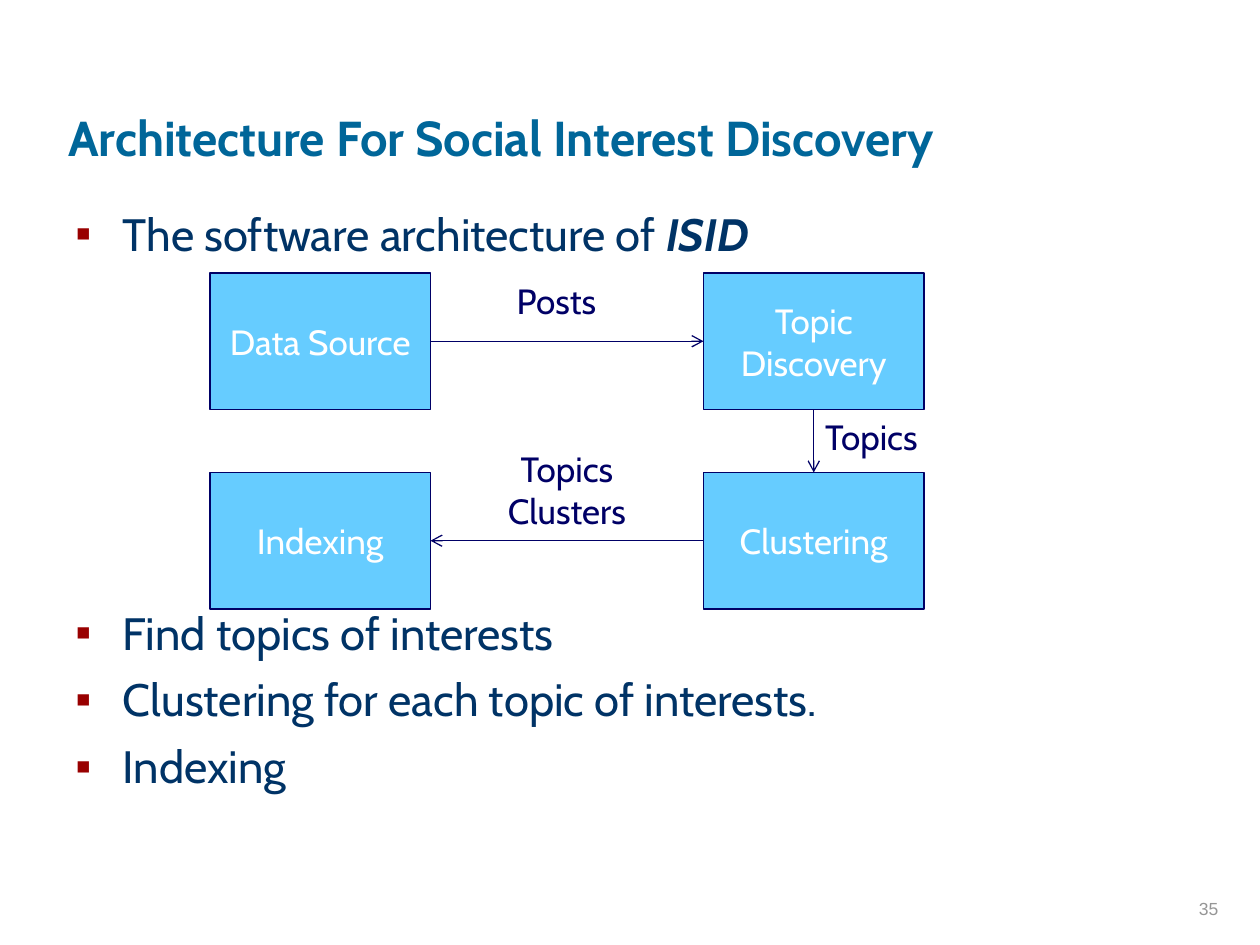
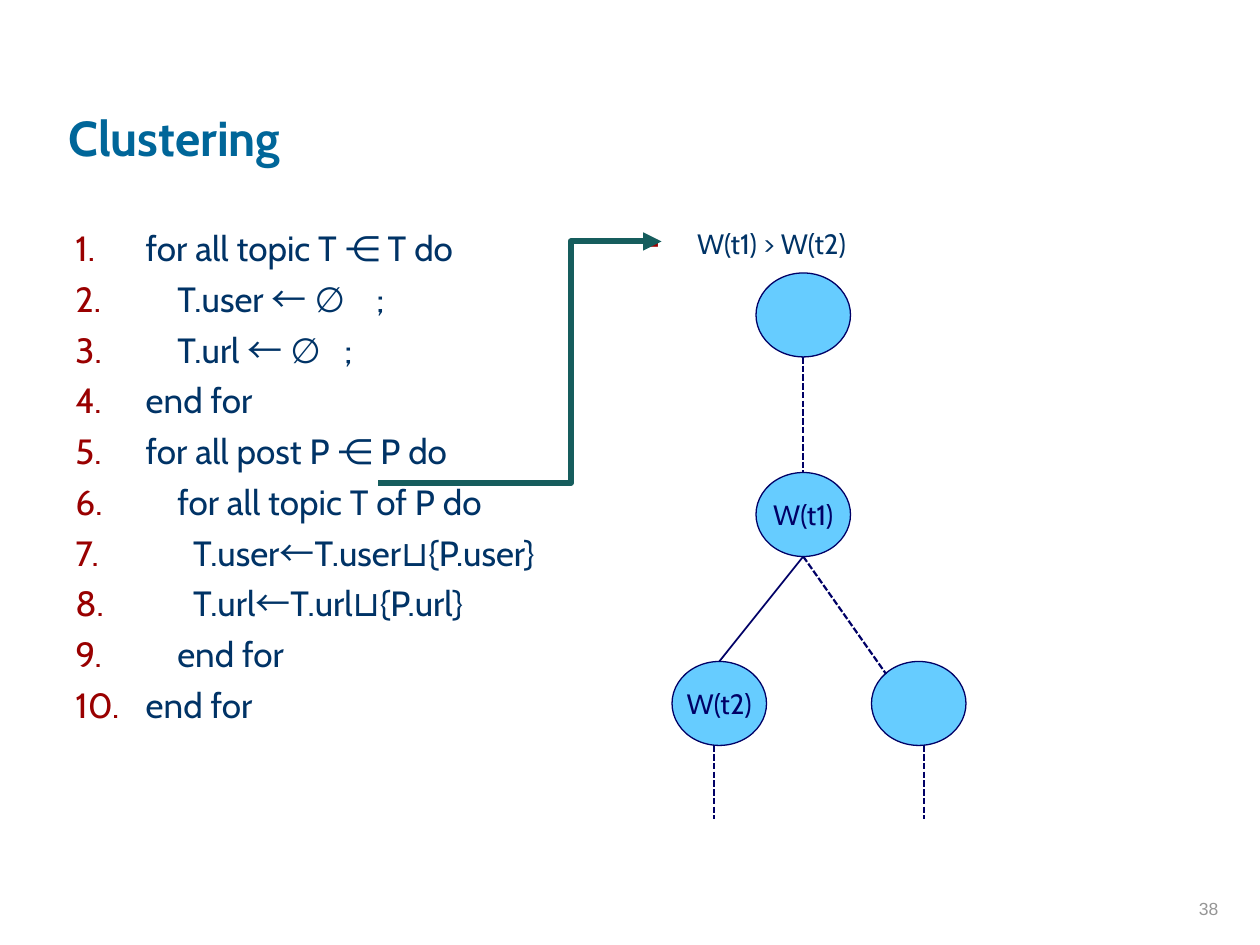
from dataclasses import dataclass

from pptx import Presentation, util as u
from pptx.dml.color import RGBColor
from pptx.enum import dml, shapes as sh, text as tx
from pptx.oxml.ns import qn
from lxml import etree

SCALE = 914400 // 120  # EMU per px


@dataclass(frozen=True)
class Theme:
    font: str = "Cabin"
    sign: str = "Noto Sans CJK KR"
    plain: str = "Arial"
    title: str = "006699"
    body: str = "003366"
    mark: str = "990000"
    ink: str = "000066"
    fill: str = "66CCFF"
    light: str = "FFFFFF"
    grey: str = "969696"
    arrow: str = "165D5D"
    head: float = 28
    large: float = 25.9
    mid: float = 20
    small: float = 16
    tiny: float = 10


def px(*vals):
    return [v * SCALE for v in vals]


def rgb(hue):
    return RGBColor.from_string(hue)


def sub(node, tag, **attrs):
    return etree.SubElement(node, qn(tag), attrs)


class Deck:
    def __init__(self, theme):
        self.t = theme
        self.prs = Presentation()
        self.prs.slide_width, self.prs.slide_height = px(1200, 900)
        self.slide = None

    def page(self, title, num):
        self.slide = self.prs.slides.add_slide(self.prs.slide_layouts[5])
        head = self.slide.shapes.title
        head.left, head.top, head.width, head.height = px(53, 14, 1080, 150)
        frame = head.text_frame
        frame.text = title
        frame.auto_size = tx.MSO_AUTO_SIZE.NONE
        frame.vertical_anchor = tx.MSO_ANCHOR.BOTTOM
        self.style(frame.paragraphs[0], self.t.head, self.t.title, bold=True)
        frame = self.label(num, (922, 821, 250, 60), self.t.tiny, self.t.grey,
                           tx.PP_ALIGN.RIGHT, self.t.plain)
        frame.vertical_anchor = tx.MSO_ANCHOR.BOTTOM

    def style(self, para, size, hue, align=tx.PP_ALIGN.LEFT, font=None, bold=False):
        para.alignment = align
        para.font.name = font or self.t.font
        para.font.size = u.Pt(size)
        para.font.bold = bold
        para.font.color.rgb = rgb(hue)

    def label(self, words, box, size, hue, align=tx.PP_ALIGN.CENTER, font=None):
        frame = self.slide.shapes.add_textbox(*px(*box)).text_frame
        frame.word_wrap = True
        frame.text = words
        for para in frame.paragraphs:
            self.style(para, size, hue, align, font)
        return frame

    def bullets(self, items, box, size, gap, hang=45, count=False):
        """Fill a list; each item is a sequence of (text, kind) runs.

        Kind is "" for plain, "sign" for the symbol font, "strong" for bold italic.
        """
        frame = self.slide.shapes.add_textbox(*px(*box)).text_frame
        frame.word_wrap = True
        for i, runs in enumerate(items):
            para = frame.add_paragraph() if i else frame.paragraphs[0]
            props = para._p.get_or_add_pPr()
            props.set("marL", str(hang * SCALE))
            props.set("indent", str(-hang * SCALE))
            sub(sub(props, "a:buClr"), "a:srgbClr", val=self.t.mark)
            if count:
                sub(props, "a:buFont", typeface=self.t.font)
                sub(props, "a:buAutoNum", type="arabicPeriod")
            else:
                sub(props, "a:buFont", typeface=self.t.plain)
                sub(props, "a:buChar", char="▪")
            self.style(para, size, self.t.body)
            if i:
                para.space_before = u.Pt(gap)
            for words, kind in runs:
                run = para.add_run()
                run.text = words
                if kind == "sign":
                    run.font.name = self.t.sign
                elif kind == "strong":
                    run.font.bold = run.font.italic = True
        return frame

    def node(self, kind, box, words="", size=None, hue=None):
        shape = self.slide.shapes.add_shape(kind, *px(*box))
        shape.shadow.inherit = False
        shape.fill.solid()
        shape.fill.fore_color.rgb = rgb(self.t.fill)
        shape.line.color.rgb = rgb(self.t.ink)
        shape.line.width = u.Pt(0.75)
        if words:
            frame = shape.text_frame
            frame.text = words
            frame.vertical_anchor = tx.MSO_ANCHOR.MIDDLE
            self.style(frame.paragraphs[0], size, hue, tx.PP_ALIGN.CENTER)
        return shape

    def line(self, start, end, width, hue=None, kind=sh.MSO_CONNECTOR.STRAIGHT,
             dash=False, tip=None):
        link = self.slide.shapes.add_connector(kind, *px(*start, *end))
        link.line.color.rgb = rgb(hue or self.t.ink)
        link.line.width = u.Pt(width)
        if dash:
            link.line.dash_style = dml.MSO_LINE.SQUARE_DOT
        if tip:
            sub(link.line._get_or_add_ln(), "a:tailEnd", type=tip)
        sub(link._element.spPr, "a:effectLst")
        return link

    def join(self, a, side, b, goal):
        link = self.line((0, 0), (0, 0), 0.75, tip="arrow")
        link.begin_connect(a, side)
        link.end_connect(b, goal)

    def bend(self, start, end, turn):
        """Draw an elbow arrow that turns at the given share of its width."""
        link = self.line(start, end, 3.5, self.t.arrow,
                         sh.MSO_CONNECTOR.ELBOW, tip="triangle")
        geom = link._element.spPr.find(qn("a:prstGeom"))
        guides = geom.find(qn("a:avLst"))
        if guides is None:
            guides = sub(geom, "a:avLst")
        sub(guides, "a:gd", name="adj1", fmla=f"val {round(turn * 100000)}")


def design(deck):
    t = deck.t
    deck.page("Architecture For Social Interest Discovery", "35")
    lines = ["Find topics of interests", "Clustering for each topic of interests.",
             "Indexing"]
    items = [[("The software architecture of ", ""), ("ISID", "strong")]]
    items += [[(words, "")] for words in lines]
    frame = deck.bullets(items, (60, 190, 1073, 584), t.large, 7)
    frame.paragraphs[1].space_before = u.Pt(197)  # room for the diagram

    names = [["Data Source", "Topic Discovery"], ["Indexing", "Clustering"]]
    (source, topic), (index, group) = [
        [deck.node(sh.MSO_SHAPE.RECTANGLE, (200 + 470 * col, 260 + 190 * row, 210, 130),
                   name, t.mid, t.light) for col, name in enumerate(pair)]
        for row, pair in enumerate(names)]
    deck.join(source, 3, topic, 1)
    deck.join(topic, 2, group, 0)
    deck.join(group, 1, index, 3)
    for words, box in [("Posts", (440, 260, 180, 53)),
                       ("Topics\nClusters", (450, 420, 180, 92)),
                       ("Topics", (740, 390, 180, 53))]:
        deck.label(words, box, t.mid, t.ink)


def cluster(deck):
    t = deck.t
    deck.page("Clustering", "38")
    code = ["for all topic T ⋲ T do",
            "    T.user ← ∅    ;",
            "    T.url ← ∅   ;",
            "end for",
            "for all post P ⋲ P do",
            "    for all topic T of P do",
            "      T.user←T.user⊔{P.user}",
            "      T.url←T.url⊔{P.url}",
            "    end for",
            "end for"]
    items = [[(part, "sign" if part == "←" else "")
              for part in row.partition("←") if part] for row in code]
    deck.bullets(items, (60, 210, 527, 586), t.mid, 5, hang=67, count=True)
    deck.bullets([[("W(t1) > W(t2)", "")]], (607, 210, 527, 586), t.small, 4)

    for left, top, words in [(720, 260, ""), (720, 450, "W(t1)"),
                             (640, 630, "W(t2)"), (830, 630, "")]:
        ball = deck.node(sh.MSO_SHAPE.OVAL, (left, top, 90, 80), words, t.small, t.ink)
        ball.text_frame.word_wrap = False
    deck.line((765, 530), (685, 630), 1)
    for start, end in [((765, 340), (765, 450)), ((765, 530), (844, 642)),
                       ((680, 710), (680, 780)), ((880, 710), (880, 780))]:
        deck.line(start, end, 1.25, dash=True)
    deck.bend((360, 460), (630, 230), 0.68)


def main():
    deck = Deck(Theme())
    design(deck)
    cluster(deck)
    deck.prs.save("out.pptx")


if __name__ == "__main__":
    main()
